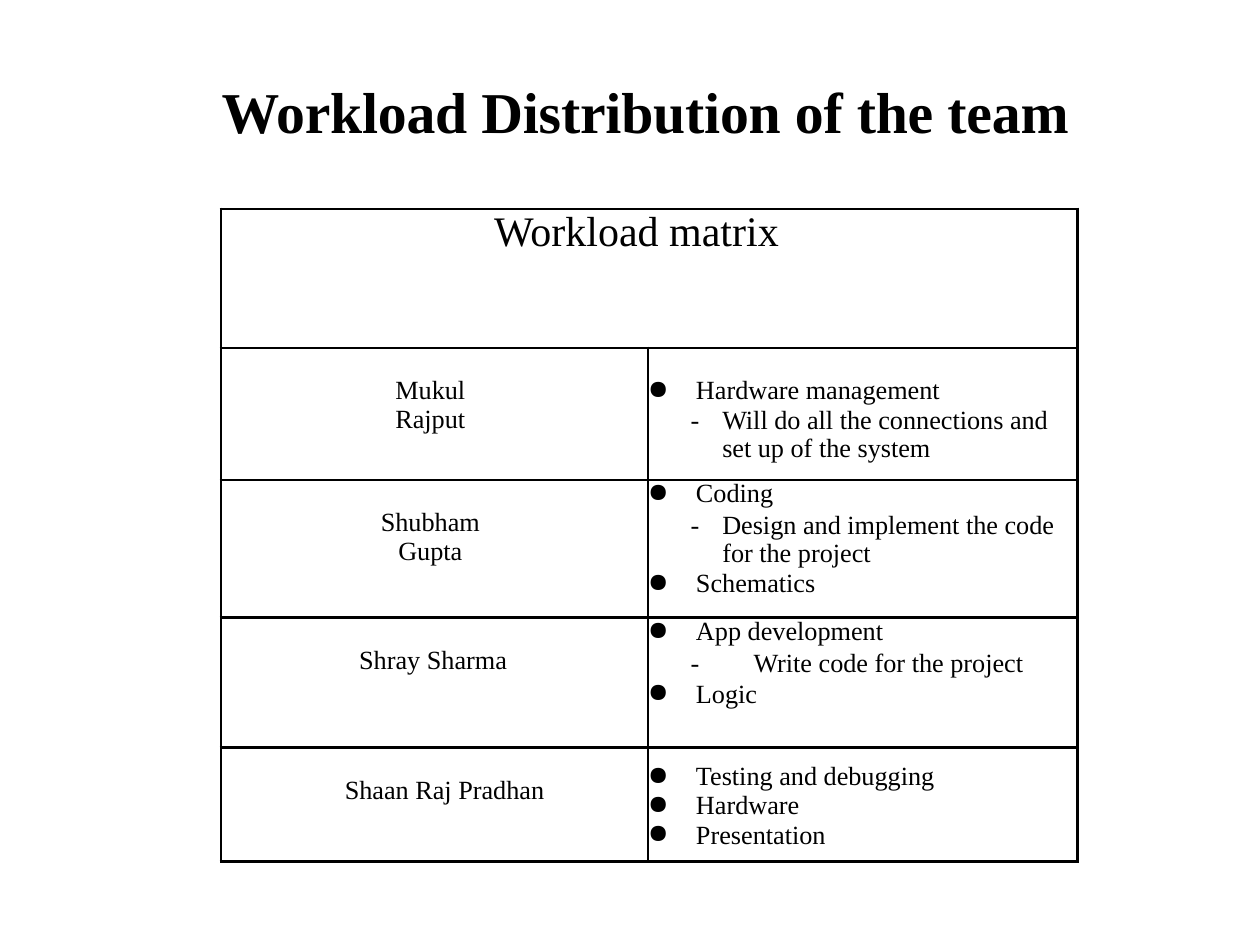
import pptx
import pptx.util
import pptx.dml.color
import pptx.enum.text
import pptx.oxml
import pptx.oxml.ns
from lxml import etree

Cm, Pt = pptx.util.Cm, pptx.util.Pt
ALIGN = pptx.enum.text.PP_ALIGN
ANCHOR = pptx.enum.text.MSO_ANCHOR
qn = pptx.oxml.ns.qn

INK = {"text": "000000", "line": "000000"}
TAB = 1.5

# Paragraph styles: left margin, first-line indent, right margin (cm)
KINDS = {
    "head": dict(left=4.19, right=4.7, align=ALIGN.CENTER, size=24),
    "name": dict(left=2.82, right=2.98, align=ALIGN.CENTER),
    "solo": dict(left=2.79),
    "wide": dict(left=2.5),
    "item": dict(left=0.97, first=-0.97, mark="●"),
    "sub": dict(left=1.5, first=-0.64, tab=TAB, lead=0.96),
    "flat": dict(left=0.86, tab=TAB),
}

# Each row: height, then (top margin, paragraphs) for each cell;
# a paragraph is (kind, text, space before)
ROWS = [
    (2.8, (0, [("head", "Workload matrix", 0)])),
    (2.66, (0.58, [("name", "Mukul Rajput", 0)]),
     (0.58, [("item", "Hardware management", 0),
             ("sub", "-\tWill do all the connections and set up of the system", 0.9)])),
    (2.78, (0.58, [("name", "Shubham Gupta", 0)]),
     (0, [("item", "Coding", 0),
          ("sub", "-\tDesign and implement the code for the project", 1.9),
          ("item", "Schematics", 1.2)])),
    (2.62, (0.58, [("solo", "Shray Sharma", 0)]),
     (0, [("item", "App development", 0),
          ("flat", "-\tWrite code for the project", 1.4),
          ("item", "Logic", 1.1)])),
    (2.3, (0.58, [("wide", "Shaan Raj Pradhan", 0)]),
     (0.3, [("item", "Testing and debugging", 0),
            ("item", "Hardware", 0.2),
            ("item", "Presentation", 0.2)])),
]


class Deck:
    """Holds the style and the current slide."""
    face = "Times New Roman"
    size = 15

    def __init__(self, wide, high):
        self.prs = pptx.Presentation()
        self.prs.slide_width, self.prs.slide_height = Cm(wide), Cm(high)
        self.slide = self.prs.slides.add_slide(self.prs.slide_layouts[5])

    def font(self, par, size, bold=False):
        font = par.font
        font.name, font.size, font.bold = self.face, Pt(size), bold
        font.color.rgb = pptx.dml.color.RGBColor.from_string(INK["text"])

    def title(self, text, left, top, wide, high):
        box = self.slide.shapes.title
        box.left, box.top, box.width, box.height = map(Cm, (left, top, wide, high))
        frame = box.text_frame
        frame.margin_left = frame.margin_right = frame.margin_bottom = 0
        frame.margin_top = Cm(0.03)
        frame.vertical_anchor = ANCHOR.MIDDLE
        frame.auto_size = pptx.enum.text.MSO_AUTO_SIZE.NONE
        par = frame.paragraphs[0]
        par.text, par.alignment = text, ALIGN.LEFT
        self.font(par, 33, True)
        par.runs[0].font._element.set("spc", "-10")

    def para(self, par, kind, text, before):
        look = KINDS[kind]
        par.text = text
        par.alignment = look.get("align", ALIGN.LEFT)
        par.space_before = Pt(before)
        if "lead" in look:
            par.line_spacing = look["lead"]
        props = par._p.get_or_add_pPr()
        for key, name in (("left", "marL"), ("first", "indent"), ("right", "marR")):
            props.set(name, str(Cm(look.get(key, 0))))
        if "mark" in look:
            etree.SubElement(props, qn("a:buChar"), char=look["mark"])
        if "tab" in look:
            stops = etree.SubElement(props, qn("a:tabLst"))
            etree.SubElement(stops, qn("a:tab"), pos=str(Cm(look["tab"])), algn="l")
        self.font(par, look.get("size", self.size))

    def border(self, cell):
        props = cell._tc.get_or_add_tcPr()
        for side in ("lnL", "lnR", "lnT", "lnB"):
            line = etree.SubElement(props, qn("a:" + side), w=str(Pt(1.5)))
            fill = etree.SubElement(line, qn("a:solidFill"))
            etree.SubElement(fill, qn("a:srgbClr"), val=INK["line"])
        cell.fill.background()

    def cell(self, cell, top, pars):
        cell.margin_left = cell.margin_right = cell.margin_bottom = 0
        cell.margin_top = Cm(top)
        frame = cell.text_frame
        for i, data in enumerate(pars):
            self.para(frame.add_paragraph() if i else frame.paragraphs[0], *data)

    def table(self, rows, cols, left, top):
        high = sum(row[0] for row in rows)
        grid = self.slide.shapes.add_table(
            len(rows), len(cols), Cm(left), Cm(top), Cm(sum(cols)), Cm(high)).table
        grid.first_row = grid.horz_banding = False
        for col, wide in zip(grid.columns, cols):
            col.width = Cm(wide)
        for cell in grid.iter_cells():
            self.border(cell)
        for r, (tall, *cells) in enumerate(rows):
            grid.rows[r].height = Cm(tall)
            if len(cells) == 1:
                grid.cell(r, 0).merge(grid.cell(r, len(cols) - 1))
            for c, (gap, pars) in enumerate(cells):
                self.cell(grid.cell(r, c), gap, pars)


def main():
    deck = Deck(25.4, 19.05)
    # Heading
    deck.title("Workload Distribution of the team", 4.47, 1.47, 17.3, 1.47)
    # Who does what
    deck.table(ROWS, (8.61, 8.66), 4.45, 4.21)
    deck.prs.save("out.pptx")


if __name__ == "__main__":
    main()
